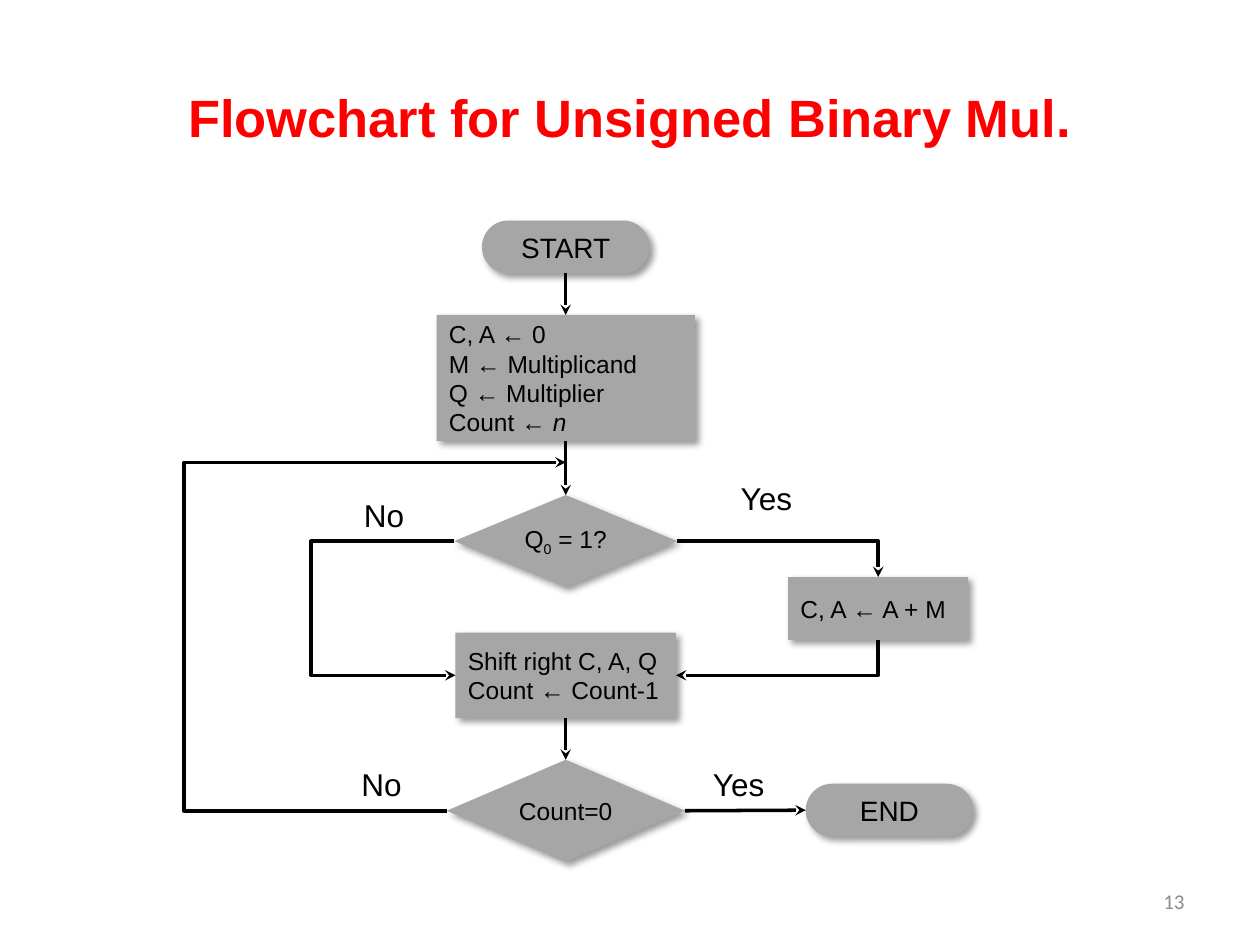
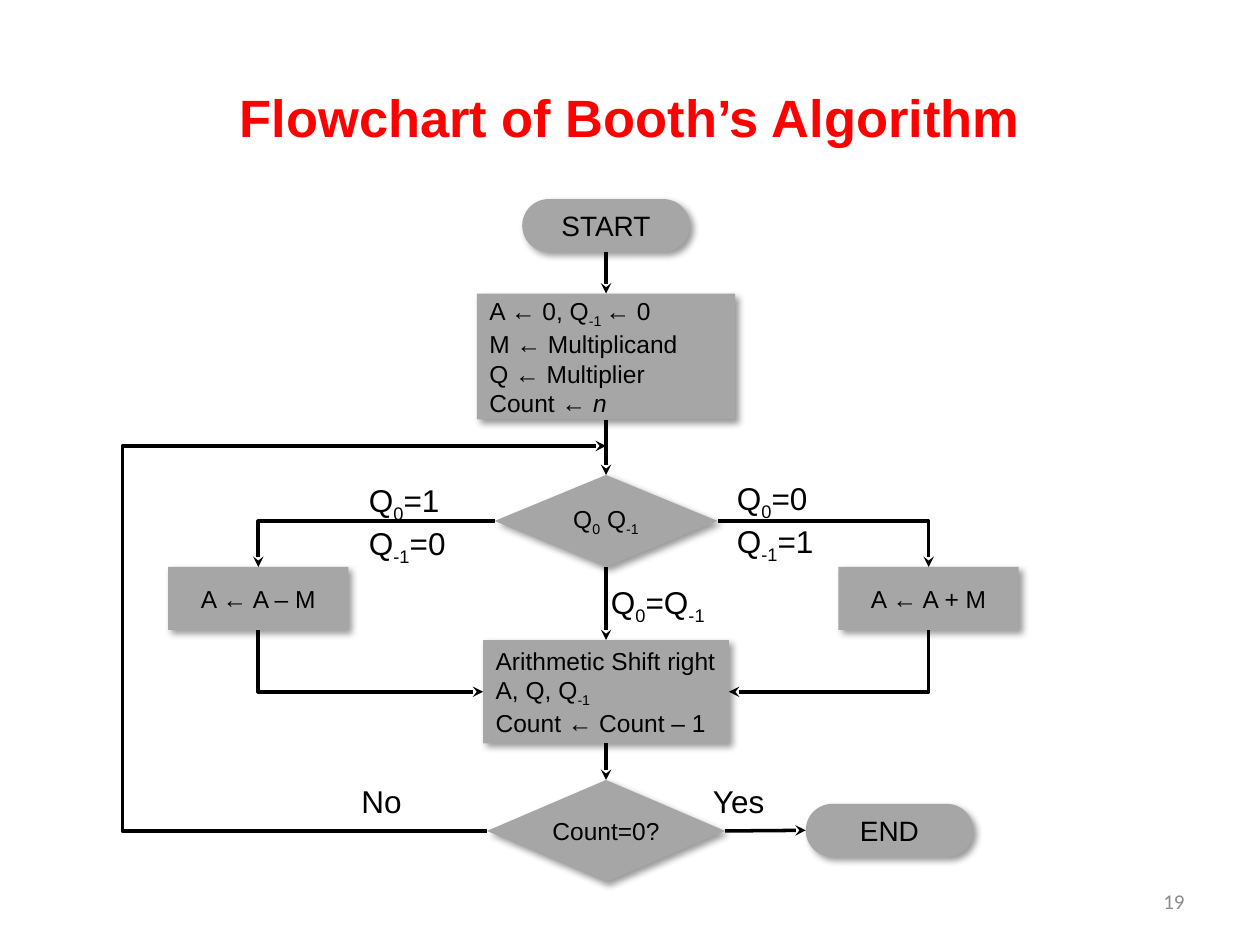
from dataclasses import dataclass

import pptx
import pptx.dml.color
import pptx.enum.shapes
import pptx.enum.text
import pptx.oxml
import pptx.oxml.ns
import pptx.util

PX = 9144  # EMU in one px: 100 px to the inch
TITLE_ONLY = 5
TOP, LEFT, BOTTOM, RIGHT = range(4)
SHAPES = pptx.enum.shapes.MSO_SHAPE
CONNECTORS = pptx.enum.shapes.MSO_CONNECTOR
ALIGN = pptx.enum.text.PP_ALIGN
NAMESPACE = pptx.oxml.ns.nsdecls("a")


@dataclass(frozen=True)
class Theme:
    title_color: str = "FF0000"
    ink: str = "000000"
    node_fill: str = "A6A6A6"
    number_color: str = "8C8C8C"
    font: str = "Arial"
    number_font: str = "Calibri"
    title_size: int = 30
    label_size: int = 18
    terminal_size: int = 16
    node_size: int = 14
    number_size: int = 12
    line_width: int = 2


THEME = Theme()


@dataclass(frozen=True)
class Span:
    text: str
    subscript: bool = False
    italic: bool = False


def sub(text):
    return Span(text, subscript=True)


COUNT_TO_N = ["Count ← ", Span("n", italic=True)]
LOAD_OPERANDS = [["M ← Multiplicand"], ["Q ← Multiplier"], COUNT_TO_N]


def px(length):
    return round(length * PX)


def rgb(color):
    return pptx.dml.color.RGBColor.from_string(color)


def style_paragraph(para, size, color=THEME.ink, font=THEME.font, align=ALIGN.LEFT):
    para.alignment = align
    para.font.size = pptx.util.Pt(size)
    para.font.name = font
    para.font.color.rgb = rgb(color)


def write_lines(frame, lines, size, **style):
    """Write one paragraph per line; a line lists plain strings and Spans."""
    for index, line in enumerate(lines):
        para = frame.add_paragraph() if index else frame.paragraphs[0]
        style_paragraph(para, size, **style)
        for piece in line:
            span = piece if isinstance(piece, Span) else Span(piece)
            run = para.add_run()
            run.text = span.text
            if span.italic:
                run.font.italic = True
            if span.subscript:
                run._r.get_or_add_rPr().set("baseline", "-25000")


def add_page(deck, title, number):
    page = deck.slides.add_slide(deck.slide_layouts[TITLE_ONLY])
    heading = page.shapes.title
    heading.left, heading.top, heading.width, heading.height = map(px, (50, 30, 900, 125))
    heading.text_frame.vertical_anchor = pptx.enum.text.MSO_ANCHOR.MIDDLE
    write_lines(heading.text_frame, [[title]], THEME.title_size,
                color=THEME.title_color, align=ALIGN.CENTER)
    heading.text_frame.paragraphs[0].font.bold = True

    box = page.shapes.add_textbox(*map(px, (717, 695, 233, 40)))
    box.text_frame.word_wrap = True
    box.text_frame.vertical_anchor = pptx.enum.text.MSO_ANCHOR.MIDDLE
    write_lines(box.text_frame, [[number]], THEME.number_size, color=THEME.number_color,
                font=THEME.number_font, align=ALIGN.RIGHT)
    return page


def add_shadow(shape):
    shape.shadow.inherit = False
    effects = shape._element.spPr.find(pptx.oxml.ns.qn("a:effectLst"))
    effects.append(pptx.oxml.parse_xml(
        f'<a:outerShdw {NAMESPACE} blurRad="50800" dist="38100" dir="2700000" algn="tl" '
        f'rotWithShape="0"><a:srgbClr val="{THEME.ink}"><a:alpha val="40000"/>'
        f'</a:srgbClr></a:outerShdw>'))


def add_node(page, kind, center, top, size, lines, text_size=THEME.node_size,
             align=ALIGN.CENTER):
    width, height = size
    node = page.shapes.add_shape(
        kind, px(center - width / 2), px(top), px(width), px(height))
    node.fill.solid()
    node.fill.fore_color.rgb = rgb(THEME.node_fill)
    node.line.fill.background()
    add_shadow(node)
    node.text_frame.word_wrap = True
    node.text_frame.vertical_anchor = pptx.enum.text.MSO_ANCHOR.MIDDLE
    write_lines(node.text_frame, lines, text_size, align=align)
    return node


def add_terminal(page, center, top, text):
    node = add_node(page, SHAPES.ROUNDED_RECTANGLE, center, top, (133, 42), [[text]],
                    THEME.terminal_size)
    node.adjustments[0] = 0.5
    return node


def add_process(page, center, top, size, lines, align=ALIGN.LEFT):
    return add_node(page, SHAPES.RECTANGLE, center, top, size, lines, align=align)


def add_decision(page, center, top, size, line):
    node = add_node(page, SHAPES.DIAMOND, center, top, size, [line])
    node.text_frame.margin_left = node.text_frame.margin_right = 0
    return node


def add_label(page, left, top, size, lines):
    box = page.shapes.add_textbox(*map(px, (left, top, *size)))
    box.text_frame.word_wrap = False
    box.text_frame.auto_size = pptx.enum.text.MSO_AUTO_SIZE.SHAPE_TO_FIT_TEXT
    write_lines(box.text_frame, lines, THEME.label_size)


def add_yes_no(page, top, yes_left, no_left, no_top):
    add_label(page, yes_left, top, (61, 40), [["Yes"]])
    add_label(page, no_left, no_top, (52, 40), [["No"]])


def middle(node, side):
    """Return the point, in EMU, at the middle of a side of a node."""
    across = {LEFT: 0, RIGHT: node.width}.get(side, node.width // 2)
    down = {TOP: 0, BOTTOM: node.height}.get(side, node.height // 2)
    return node.left + across, node.top + down


def add_arrow(page, kind, begin, end):
    arrow = page.shapes.add_connector(kind, *begin, *end)
    arrow.line.color.rgb = rgb(THEME.ink)
    arrow.line.width = pptx.util.Pt(THEME.line_width)
    properties = arrow._element.spPr
    properties.find(pptx.oxml.ns.qn("a:ln")).append(
        pptx.oxml.parse_xml(f'<a:tailEnd {NAMESPACE} type="stealth"/>'))
    properties.append(pptx.oxml.parse_xml(f"<a:effectLst {NAMESPACE}/>"))
    return arrow


def join(page, source, source_side, target, target_side):
    arrow = add_arrow(page, CONNECTORS.STRAIGHT,
                      middle(source, source_side), middle(target, target_side))
    arrow.begin_connect(source, source_side)
    arrow.end_connect(target, target_side)


def join_downward(page, *nodes):
    for upper, lower in zip(nodes, nodes[1:]):
        join(page, upper, BOTTOM, lower, TOP)


def geometry(arrow):
    return arrow._element.spPr.find(pptx.oxml.ns.qn("a:prstGeom"))


def turn_down(page, begin, end):
    """Draw an arrow that runs across, then down."""
    arrow = add_arrow(page, CONNECTORS.ELBOW, begin, end)
    geometry(arrow).set("prst", "bentConnector2")


def turn_across(page, begin, end):
    """Draw an arrow that runs down, then across: a turned frame about the same centre."""
    (begin_x, begin_y), (end_x, end_y) = begin, end
    run, drop = abs(end_x - begin_x), end_y - begin_y
    left = (begin_x + end_x - drop) // 2
    top = (begin_y + end_y - run) // 2
    near, far = (left, left + drop) if end_x < begin_x else (left + drop, left)
    arrow = add_arrow(page, CONNECTORS.ELBOW, (near, top), (far, top + run))
    geometry(arrow).set("prst", "bentConnector2")
    arrow.rotation = 90 if end_x < begin_x else 270


def loop_around(page, begin, end, via):
    """Draw an arrow that runs across to x = via px, along it, and back to its end."""
    arrow = add_arrow(page, CONNECTORS.ELBOW, begin, end)
    share = round((px(via) - begin[0]) / (end[0] - begin[0]) * 100000)
    adjustments = geometry(arrow).find(pptx.oxml.ns.qn("a:avLst"))
    adjustments.append(pptx.oxml.parse_xml(
        f'<a:gd {NAMESPACE} name="adj1" fmla="val {share}"/>'))


def build_unsigned_multiplication(deck):
    page = add_page(deck, "Flowchart for Unsigned Binary Mul.", "13")
    axis = 449
    start = add_terminal(page, axis, 175, "START")
    setup = add_process(page, axis, 250, (205, 100), [["C, A ← 0"], *LOAD_OPERANDS])
    bit_test = add_decision(page, axis, 393, (177, 73), ["Q", sub("0"), " = 1?"])
    add = add_process(page, 697, 458, (143, 50), [["C, A ← A + M"]])
    shift = add_process(page, axis, 502, (175, 68),
                        [["Shift right C, A, Q"], ["Count ← Count-1"]])
    count_test = add_decision(page, axis, 603, (189, 81), ["Count=0"])
    end = add_terminal(page, 706, 622, "END")

    join_downward(page, start, setup, bit_test)
    join_downward(page, shift, count_test)
    join(page, count_test, RIGHT, end, LEFT)
    turn_down(page, middle(bit_test, RIGHT), middle(add, TOP))
    turn_across(page, middle(add, BOTTOM), middle(shift, RIGHT))
    loop_around(page, middle(bit_test, LEFT), middle(shift, LEFT), 245)
    loop_around(page, middle(count_test, LEFT), (px(axis), px(367)), 146)
    add_yes_no(page, 375, 578, 279, 389)
    add_yes_no(page, 602, 556, 277, 602)


def build_booth(deck):
    page = add_page(deck, "Flowchart of Booth’s Algorithm", "19")
    axis = 481
    start = add_terminal(page, axis, 158, "START")
    setup = add_process(page, axis, 233, (205, 100),
                        [["A ← 0, Q", sub("-1 "), "← 0"], *LOAD_OPERANDS])
    bit_test = add_decision(page, axis, 377, (177, 73), ["Q", sub("0"), " Q", sub("-1")])
    subtract, add = (
        add_process(page, center, 450, (143, 50), [[text]], ALIGN.CENTER)
        for center, text in ((205, "A ← A – M"), (737, "A ← A + M")))
    shift = add_process(page, axis, 508, (195, 82),
                        [["Arithmetic Shift right A, Q, Q", sub("-1")],
                         ["Count ← Count – 1"]])
    count_test = add_decision(page, axis, 619, (189, 81), ["Count=0?"])
    end = add_terminal(page, 706, 638, "END")

    join_downward(page, start, setup, bit_test, shift, count_test)
    join(page, count_test, RIGHT, end, LEFT)
    for branch, side in ((subtract, LEFT), (add, RIGHT)):
        turn_down(page, middle(bit_test, side), middle(branch, TOP))
        turn_across(page, middle(branch, BOTTOM), middle(shift, side))
    loop_around(page, middle(count_test, LEFT), (px(axis), px(354)), 97)
    for left, top, current, previous in ((283, 377, 1, 0), (575, 375, 0, 1)):
        add_label(page, left, top, (83, 71),
                  [["Q", sub("0"), f"={current}"], ["Q", sub("-1"), f"={previous}"]])
    add_label(page, 475, 458, (98, 40), [["Q", sub("0"), "=Q", sub("-1")]])
    add_yes_no(page, 616, 556, 277, 616)


def main():
    deck = pptx.Presentation()
    deck.slide_width, deck.slide_height = px(1000), px(750)
    build_unsigned_multiplication(deck)
    build_booth(deck)
    deck.save("out.pptx")


if __name__ == "__main__":
    main()
